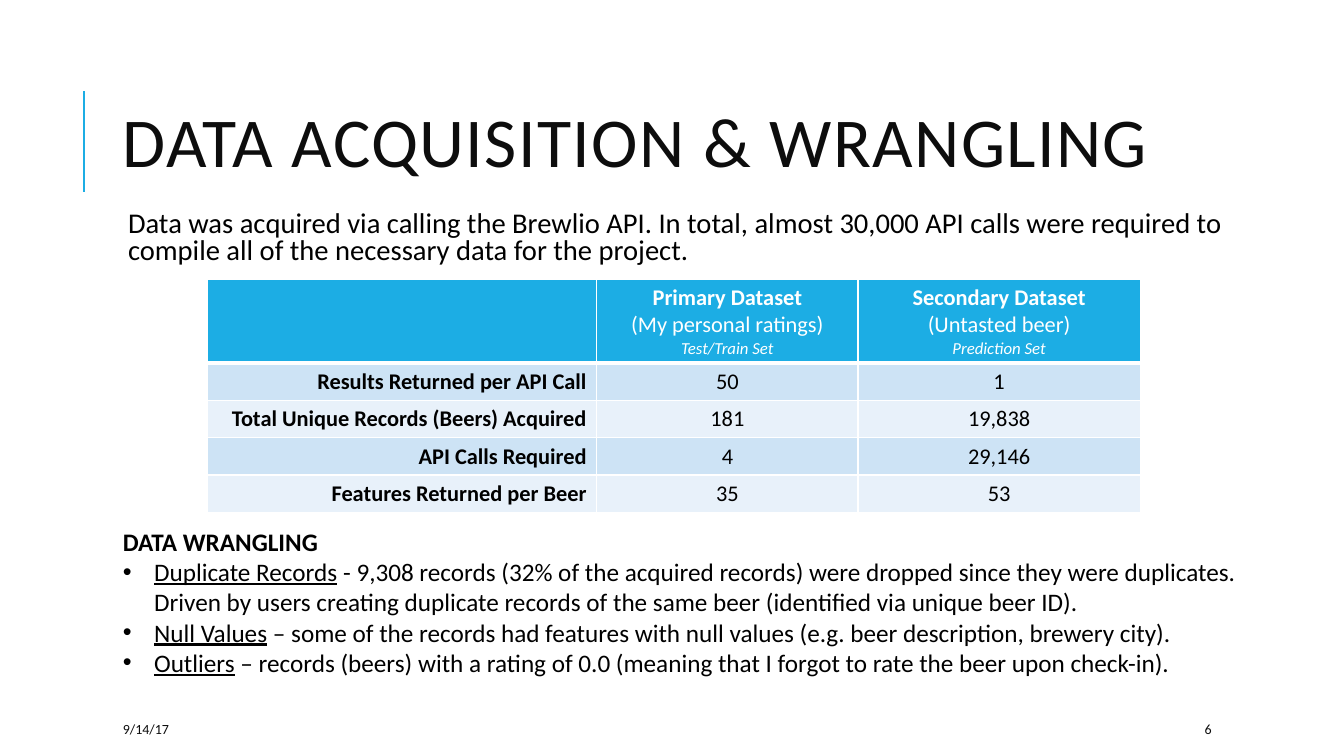
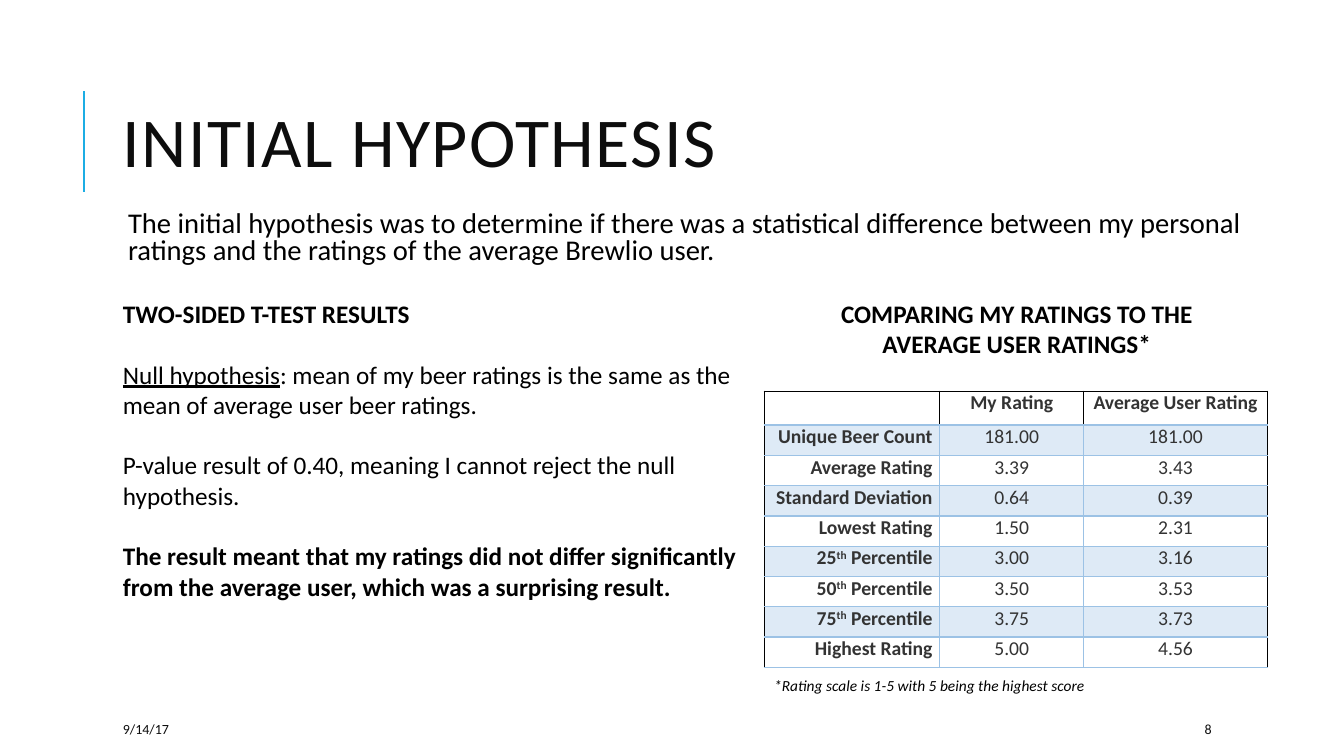
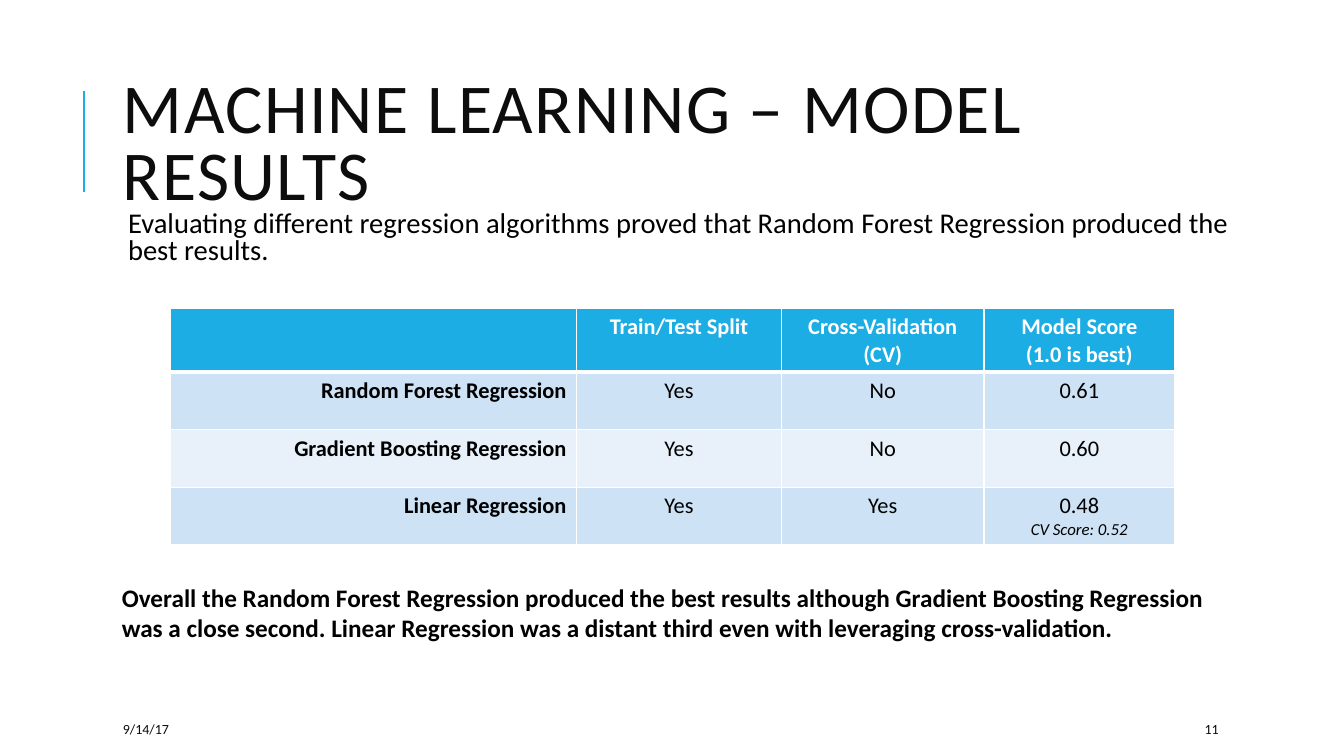
"""Build three slides on beer ratings: data, hypothesis and model results."""
import dataclasses
import typing

import lxml.etree
import pptx
import pptx.dml.color
import pptx.enum.shapes
import pptx.enum.text
import pptx.oxml.ns
import pptx.slide
import pptx.table
import pptx.text.text
import pptx.util

Inches = pptx.util.Inches
Pt = pptx.util.Pt
Color = pptx.dml.color.RGBColor
Align = pptx.enum.text.PP_ALIGN
Anchor = pptx.enum.text.MSO_ANCHOR
qn = pptx.oxml.ns.qn

FONT = "Calibri"
BLACK = Color(0x00, 0x00, 0x00)
INK = Color(0x0D, 0x0D, 0x0D)
GREY = Color(0x33, 0x33, 0x33)
WHITE = Color(0xFF, 0xFF, 0xFF)
BLUE = Color(0x1C, 0xAD, 0xE4)
MID = Color(0xCD, 0xE3, 0xF5)
PALE = Color(0xE8, 0xF1, 0xFA)
EDGE = Color(0x9C, 0xC2, 0xE5)
MIST = Color(0xDE, 0xEA, 0xF6)

DATE = "9/14/17"
GAP = 21.7


class Bit(typing.NamedTuple):
    text: str
    under: bool = False
    raised: bool = False


class Box(typing.NamedTuple):
    left: float
    top: float
    width: float
    height: float


@dataclasses.dataclass(frozen=True)
class Line:
    bits: tuple[Bit, ...]
    size: float = 18
    color: Color = BLACK
    bold: bool = False
    slant: bool = False
    align: Align = Align.LEFT
    before: float = 0
    after: float = 0
    pitch: float = 1.0
    track: int = 0
    indent: float = 0
    bullet: bool = False


@dataclasses.dataclass(frozen=True)
class Skin:
    head: Color
    head_ink: Color
    ink: Color
    bands: tuple[Color, Color]
    edge: Color
    heavy: float
    boxed: bool
    size: float
    side: float
    pad: float
    space: float = 0


Cell = str | tuple[Line, ...]

BANDED = Skin(BLUE, WHITE, BLACK, (MID, PALE), WHITE, 3, True, 16, 0.1, 0.05)
RULED = Skin(WHITE, GREY, GREY, (MIST, WHITE), EDGE, 1.5, False, 14, 0.07, 0, 0.5)


def plain(text: str, **style: typing.Any) -> Line:
    return Line((Bit(text),), **style)


def point(term: str, rest: str, **style: typing.Any) -> Line:
    return Line((Bit(term, under=True), Bit(rest)), **style)


def write(frame: pptx.text.text.TextFrame, lines: typing.Sequence[Line]) -> None:
    for index, line in enumerate(lines):
        para = frame.add_paragraph() if index else frame.paragraphs[0]
        para.alignment = line.align
        para.line_spacing = line.pitch
        para.space_before = Pt(line.before)
        para.space_after = Pt(line.after)
        props = para._p.get_or_add_pPr()
        if line.indent:
            props.set("marL", str(Inches(line.indent)))
        if line.bullet:
            props.set("indent", str(-Inches(line.indent)))
            lxml.etree.SubElement(props, qn("a:buFont")).set("typeface", "Arial")
            lxml.etree.SubElement(props, qn("a:buChar")).set("char", "•")
        font = para.font
        font.name = FONT
        font.size = Pt(line.size)
        font.bold = line.bold
        font.italic = line.slant
        font.color.rgb = line.color
        if line.track:
            font._rPr.set("spc", str(line.track * 100))
        for bit in line.bits:
            if not bit.text:
                continue
            run = para.add_run()
            run.text = bit.text
            if bit.under:
                run.font.underline = True
            if bit.raised:
                run.font._rPr.set("baseline", "30000")


def add_text(slide: pptx.slide.Slide, box: Box, *lines: Line,
             inset: float = 0.1, anchor: Anchor = Anchor.TOP) -> None:
    frame = slide.shapes.add_textbox(*map(Inches, box)).text_frame
    frame.word_wrap = True
    frame.vertical_anchor = anchor
    frame.margin_left = frame.margin_right = Inches(inset)
    write(frame, lines)


def add_edge(cell: pptx.table._Cell, side: str, color: Color, width: float) -> None:
    props = cell._tc.get_or_add_tcPr()
    rule = lxml.etree.SubElement(props, qn(f"a:ln{side}"))
    rule.set("w", str(Pt(width)))
    fill = lxml.etree.SubElement(rule, qn("a:solidFill"))
    lxml.etree.SubElement(fill, qn("a:srgbClr")).set("val", str(color))


def frame_cell(cell: pptx.table._Cell, skin: Skin, row: int, col: int, last: int) -> None:
    for side in "LRTB":
        outer = (side == "L" and col == 0) or (side == "R" and col == last)
        bare = row == 0 and side != "B"
        if skin.boxed or not (outer or bare):
            heavy = (row, side) in ((0, "B"), (1, "T"))
            add_edge(cell, side, skin.edge, skin.heavy if heavy else 1)


def add_grid(slide: pptx.slide.Slide, left: float, top: float,
             cols: typing.Sequence[float], head: float, step: float,
             skin: Skin, rows: typing.Sequence[typing.Sequence[Cell]]) -> None:
    high = head + step * (len(rows) - 1)
    box = Box(left, top, sum(cols), high)
    grid = slide.shapes.add_table(len(rows), len(cols), *map(Inches, box)).table
    grid.first_row = grid.horz_banding = False
    props = grid._tbl.tblPr
    for child in list(props):
        props.remove(child)
    for col, width in enumerate(cols):
        grid.columns[col].width = Inches(width)
    for row, cells in enumerate(rows):
        grid.rows[row].height = Inches(step if row else head)
        for col, text in enumerate(cells):
            cell = grid.cell(row, col)
            frame_cell(cell, skin, row, col, len(cols) - 1)
            cell.fill.solid()
            cell.fill.fore_color.rgb = skin.bands[(row - 1) % 2] if row else skin.head
            cell.margin_left = cell.margin_right = Inches(skin.side)
            cell.margin_top = cell.margin_bottom = Inches(skin.pad)
            lines = text
            if isinstance(text, str):
                lines = (plain(text, size=skin.size, bold=row == 0 or col == 0),)
            write(cell.text_frame, [dataclasses.replace(
                line,
                color=skin.ink if row else skin.head_ink,
                align=Align.RIGHT if row and col == 0 else Align.CENTER,
                before=skin.space, after=skin.space) for line in lines])


def add_base(deck: pptx.presentation.Presentation, title: str, lead: str,
             number: int) -> pptx.slide.Slide:
    slide = deck.slides.add_slide(deck.slide_layouts[6])
    bar = slide.shapes.add_connector(
        pptx.enum.shapes.MSO_CONNECTOR.STRAIGHT,
        Inches(0.83), Inches(1.9), Inches(0.83), Inches(0.9))
    bar.line.color.rgb = BLUE
    bar.line.width = Pt(1.5)
    lxml.etree.SubElement(bar._element.spPr, qn("a:effectLst"))
    add_text(slide, Box(1.12, 0.64, 10.63, 1.64),
             plain(title, size=50, color=INK, pitch=0.8, track=1), anchor=Anchor.MIDDLE)
    for left, width, text in ((1.12, 2.36, DATE), (11.85, 1.06, str(number))):
        add_text(slide, Box(left, 7.08, width, 0.3),
                 plain(text, size=10, color=INK), anchor=Anchor.MIDDLE)
    add_text(slide, Box(1.12, 2.05, 11.6, 0.68),
             plain(lead, size=20.4, pitch=0.8, before=12, after=2, indent=0.1),
             inset=0.05)
    return slide


def set_head(name: str, about: str, use: str) -> Cell:
    return (plain(name, size=16, bold=True), plain(about, size=16),
            plain(use, size=12, slant=True))


def rank(number: int) -> Cell:
    bits = (Bit(str(number)), Bit("th", raised=True), Bit(" Percentile"))
    return (Line(bits, size=14, bold=True),)


def add_data(deck: pptx.presentation.Presentation) -> None:
    slide = add_base(
        deck, "DATA ACQUISITION & WRANGLING",
        "Data was acquired via calling the Brewlio API. In total, almost 30,000 API calls "
        "were required to compile all of the necessary data for the project.", 6)
    add_grid(slide, 2.06, 2.77, (3.86, 2.59, 2.8), 0.79, 0.37, BANDED, (
        ("", set_head("Primary Dataset", "(My personal ratings)", "Test/Train Set"),
         set_head("Secondary Dataset", "(Untasted beer)", "Prediction Set")),
        ("Results Returned per API Call", "50", "1"),
        ("Total Unique Records (Beers) Acquired", "181", "19,838"),
        ("API Calls Required", "4", "29,146"),
        ("Features Returned per Beer", "35", "53")))
    points = (
        ("Duplicate Records",
         " - 9,308 records (32% of the acquired records) were dropped since they were "
         "duplicates. Driven by users creating duplicate records of the same beer "
         "(identified via unique beer ID)."),
        ("Null Values",
         " – some of the records had features with null values "
         "(e.g. beer description, brewery city)."),
        ("Outliers",
         " – records (beers) with a rating of 0.0 "
         "(meaning that I forgot to rate the beer upon check-in)."))
    add_text(slide, Box(1.12, 5.17, 11.91, 1.62), plain("DATA WRANGLING", bold=True),
             *(point(term, rest, indent=0.31, bullet=True) for term, rest in points))


def add_test(deck: pptx.presentation.Presentation) -> None:
    slide = add_base(
        deck, "INITIAL HYPOTHESIS",
        "The initial hypothesis was to determine if there was a statistical difference "
        "between my personal ratings and the ratings of the average Brewlio user.", 8)
    add_grid(slide, 7.58, 3.88, (1.74, 1.43, 1.82), 0.34, 0.3, RULED, (
        ("", "My Rating", "Average User Rating"),
        ("Unique Beer Count", "181.00", "181.00"),
        ("Average Rating", "3.39", "3.43"),
        ("Standard Deviation", "0.64", "0.39"),
        ("Lowest Rating", "1.50", "2.31"),
        (rank(25), "3.00", "3.16"),
        (rank(50), "3.50", "3.53"),
        (rank(75), "3.75", "3.73"),
        ("Highest Rating", "5.00", "4.56")))
    add_text(
        slide, Box(1.12, 2.91, 6.35, 4.04),
        plain("TWO-SIDED T-TEST RESULTS", bold=True),
        point("Null hypothesis",
              ": mean of my beer ratings is the same as the mean of average user "
              "beer ratings.", before=GAP),
        plain("P-value result of 0.40, meaning I cannot reject the null hypothesis.",
              before=GAP),
        plain("The result meant that my ratings did not differ significantly from the "
              "average user, which was a surprising result.", bold=True, before=GAP))
    add_text(slide, Box(7.77, 2.91, 4.63, 0.71),
             plain("COMPARING MY RATINGS TO THE AVERAGE USER RATINGS*",
                   bold=True, align=Align.CENTER))
    add_text(slide, Box(7.58, 6.66, 4.62, 0.29),
             plain("*Rating scale is 1-5 with 5 being the highest score",
                   size=11, slant=True))


def add_model(deck: pptx.presentation.Presentation) -> None:
    slide = add_base(
        deck, "MACHINE LEARNING – MODEL RESULTS",
        "Evaluating different regression algorithms proved that Random Forest Regression "
        "produced the best results.", 11)
    score = tuple(plain(text, size=16, bold=True)
                  for text in ("Model Score", "(1.0 is best)"))
    add_grid(slide, 1.69, 3.06, (4.03, 2.03, 2.01, 1.89), 0.63, 0.57, BANDED, (
        ("", "Train/Test Split", "Cross-Validation (CV)", score),
        ("Random Forest Regression", "Yes", "No", "0.61"),
        ("Gradient Boosting Regression", "Yes", "No", "0.60"),
        ("Linear Regression", "Yes", "Yes",
         (plain("0.48", size=16), plain("CV Score: 0.52", size=12, slant=True)))))
    add_text(slide, Box(1.11, 5.73, 11.1, 0.71),
             plain("Overall the Random Forest Regression produced the best results although "
                   "Gradient Boosting Regression was a close second. Linear Regression was a "
                   "distant third even with leveraging cross-validation.", bold=True))


def main() -> None:
    deck = pptx.Presentation()
    deck.slide_width = Inches(13.33)
    deck.slide_height = Inches(7.5)
    for build in (add_data, add_test, add_model):
        build(deck)
    deck.save("out.pptx")


if __name__ == "__main__":
    main()
